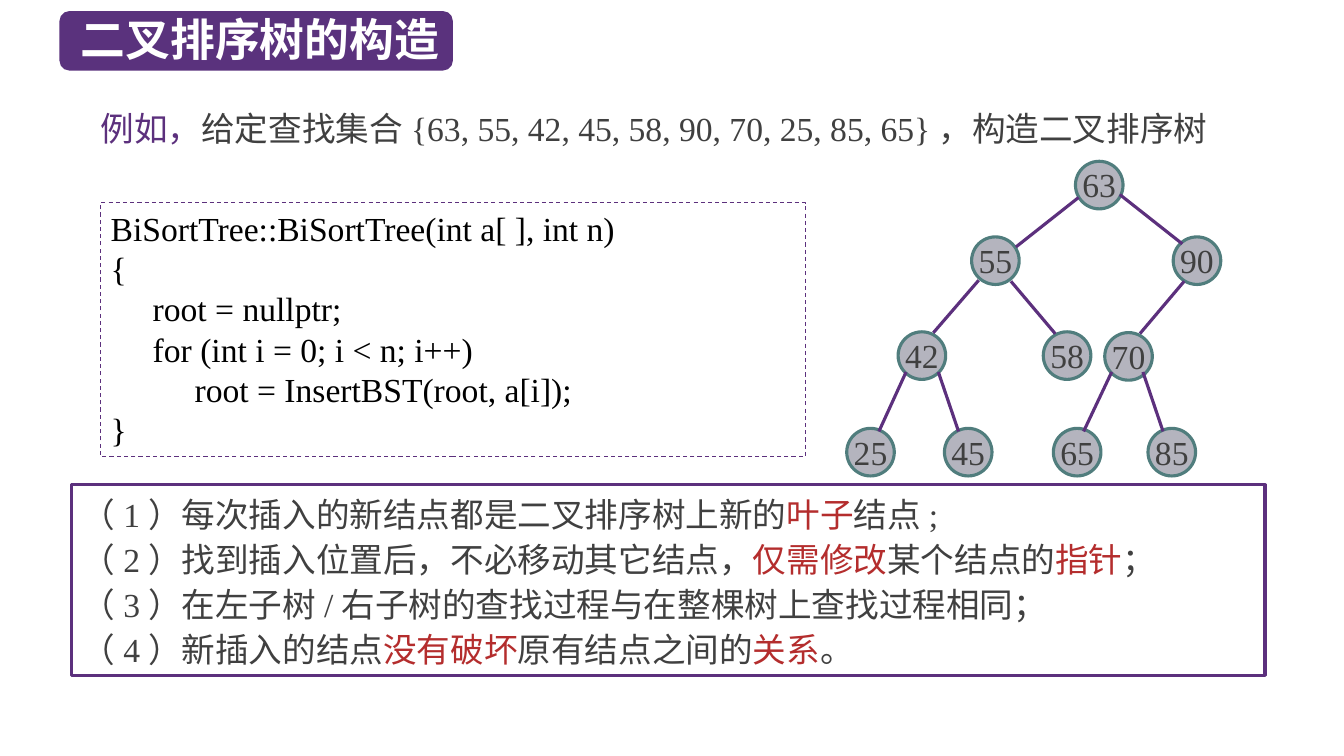
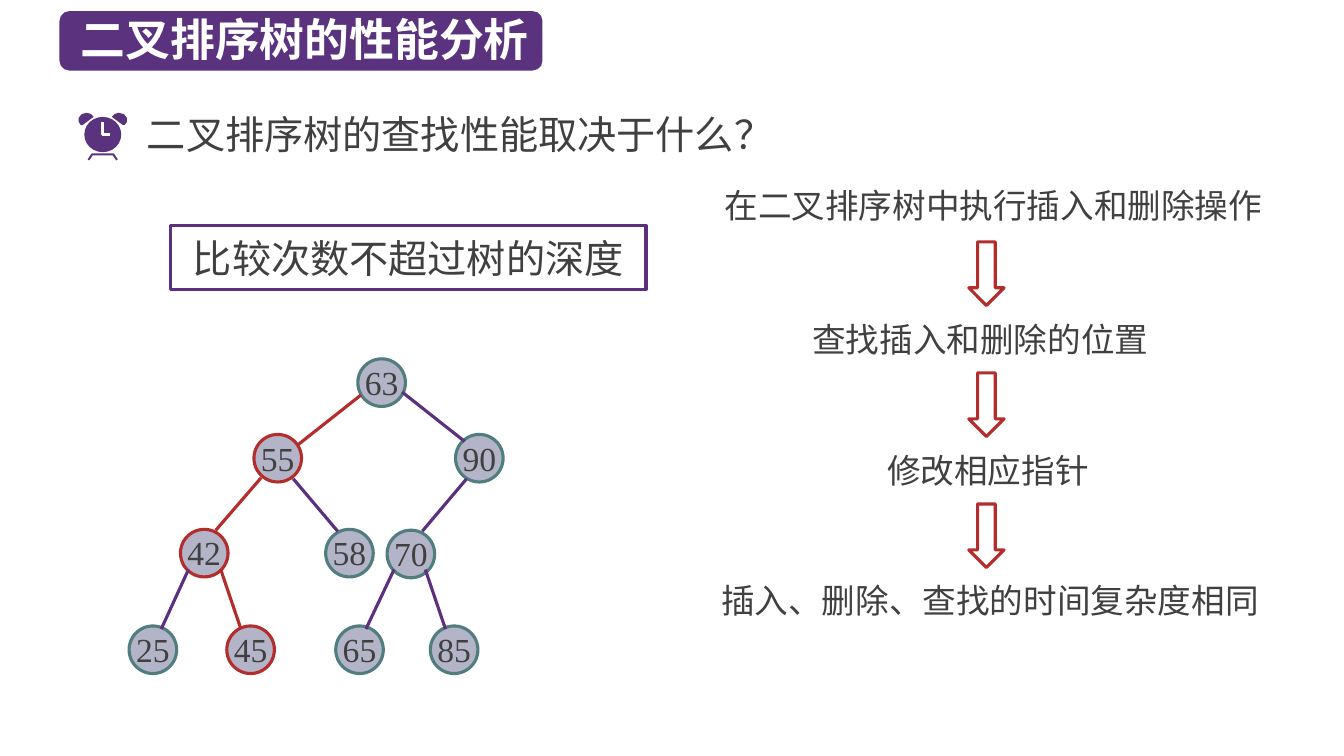
from dataclasses import dataclass, field
from typing import Any, NamedTuple

from lxml import etree
from pptx import Presentation
from pptx import util as u
from pptx.dml.color import RGBColor
from pptx.enum import dml, shapes, text as txt
from pptx.oxml import ns

Pt = u.Pt
SHAPE = shapes.MSO_SHAPE
ALIGN = txt.PP_ALIGN
ANCHOR = txt.MSO_ANCHOR


@dataclass(frozen=True)
class Theme:
    band: str = "5A327D"
    purple: str = "5C307D"
    red: str = "B42D2D"
    teal: str = "507D7D"
    ink: str = "404040"
    black: str = "000000"
    white: str = "FFFFFF"
    title_size: float = 32
    question_size: float = 28
    body_size: float = 24
    thin: float = 0.75
    stroke: float = 2.25
    latin: str = "Times New Roman"
    chinese: str = "Noto Sans CJK SC"


THEME = Theme()


class Box(NamedTuple):
    left: float
    top: float
    width: float
    height: float


class Span(NamedTuple):
    words: str
    color: str = THEME.ink


@dataclass(frozen=True)
class Style:
    size: float = THEME.body_size
    font: str = THEME.latin
    bold: bool = False
    paragraph: dict[str, Any] = field(default_factory=dict)
    frame: dict[str, Any] = field(default_factory=dict)


class TreeNode(NamedTuple):
    key: int
    x: float
    y: float
    parent: int = 0
    leave: tuple[float, float] = (0, 0)
    arrive: tuple[float, float] = (0, 0)


class Step(NamedTuple):
    words: str
    box: Box
    align: ALIGN = ALIGN.LEFT


DIAMETER = 34
TREE = (
    TreeNode(63, 0, 0),
    TreeNode(55, -74.2, 54, 63, (2.2, 25.9), (31.7, 7.2)),
    TreeNode(90, 69.8, 54, 63, (31.7, 23.8), (6.5, 5)),
    TreeNode(42, -126.7, 121.8, 55, (5.1, 31), (25.2, 0.7)),
    TreeNode(58, -23, 121.8, 55, (28.1, 31.7), (8.6, 1.4)),
    TreeNode(70, 20.9, 122.4, 90, (7.9, 31.7), (25.2, 0.7)),
    TreeNode(25, -163.4, 190.8, 42, (5.7, 28.8), (23, 2.2)),
    TreeNode(45, -93.6, 190.8, 42, (28.8, 28.8), (10.1, 2.2)),
    TreeNode(65, -15.8, 190.8, 70, (5, 28.1), (21.6, 2.2)),
    TreeNode(85, 51.8, 190.8, 70, (27.3, 28.1), (10.8, 2.2)),
)

CODE = (
    "BiSortTree::BiSortTree(int a[ ], int n)",
    "{",
    "     root = nullptr;",
    "     for (int i = 0; i < n; i++)",
    "          root = InsertBST(root, a[i]);",
    "}",
)

EXAMPLE = [
    Span("例如，", THEME.purple),
    Span("给定查找集合{63, 55, 42, 45, 58, 90, 70, 25, 85, 65}，构造二叉排序树"),
]

REMARKS = [
    [Span("（1）每次插入的新结点都是二叉排序树上新的"), Span("叶子", THEME.red), Span("结点;")],
    [Span("（2）找到插入位置后，不必移动其它结点，"), Span("仅需修改", THEME.red),
     Span("某个结点的"), Span("指针", THEME.red), Span("；")],
    [Span("（3）在左子树/右子树的查找过程与在整棵树上查找过程相同；")],
    [Span("（4）新插入的结点"), Span("没有破坏", THEME.red),
     Span("原有结点之间的"), Span("关系", THEME.red), Span("。")],
]

STEPS = (
    Step("在二叉排序树中执行插入和删除操作", Box(510.5, 128.2, 413.3, 36)),
    Step("查找插入和删除的位置", Box(573.1, 223.9, 265, 36)),
    Step("修改相应指针", Box(573.1, 317.5, 265, 36), ALIGN.CENTER),
    Step("插入、删除、查找的时间复杂度相同", Box(499.7, 410.4, 414.7, 36), ALIGN.CENTER),
)


def rgb(color: str) -> RGBColor:
    return RGBColor.from_string(color)


def apply(target: Any, formats: dict[str, Any]) -> None:
    for name, value in formats.items():
        setattr(target, name, value)


def points(*lengths: float) -> list[int]:
    return [Pt(length) for length in lengths]


def place(shape: Any, box: Box) -> None:
    apply(shape, dict(zip(Box._fields, points(*box))))


def write(shape: Any, paragraphs: list[list[Span]], style: Style = Style(),
          bulleted: bool = False) -> None:
    frame = shape.text_frame
    apply(frame, {"word_wrap": True, "auto_size": txt.MSO_AUTO_SIZE.NONE,
                  "vertical_anchor": ANCHOR.TOP} | style.frame)
    for index, spans in enumerate(paragraphs):
        paragraph = frame.add_paragraph() if index else frame.paragraphs[0]
        if bulleted:
            properties = paragraph._p.get_or_add_pPr()
            properties.set("marL", "0")
            properties.set("indent", "0")
            etree.SubElement(properties, ns.qn("a:buNone"))
        apply(paragraph, {"alignment": ALIGN.LEFT, "space_before": Pt(0)} | style.paragraph)
        for span in spans:
            run = paragraph.add_run()
            run.text = span.words
            apply(run.font, {"size": Pt(style.size), "name": style.font, "bold": style.bold})
            run.font.color.rgb = rgb(span.color)
            east_asian = etree.SubElement(run.font._element, ns.qn("a:ea"))
            east_asian.set("typeface", THEME.chinese)


def paint(shape: Any, fill: str = "", line: str = "", width: float = THEME.stroke) -> None:
    if fill:
        shape.fill.solid()
        shape.fill.fore_color.rgb = rgb(fill)
    else:
        shape.fill.background()
    if line:
        shape.line.color.rgb = rgb(line)
        shape.line.width = Pt(width)
    else:
        shape.line.fill.background()


def add_figure(slide: Any, kind: SHAPE, box: Box, fill: str = "", line: str = "",
               width: float = THEME.stroke) -> Any:
    figure = slide.shapes.add_shape(kind, *points(*box))
    figure.shadow.inherit = False
    paint(figure, fill, line, width)
    return figure


def add_label(slide: Any, box: Box, spans: list[Span], style: Style = Style()) -> None:
    write(slide.shapes.add_textbox(*points(*box)), [spans], style)


def add_outline(slide: Any, corners: list[tuple[float, float]], fill: str = "",
                line: str = "", width: float = THEME.stroke) -> None:
    start, *rest = [tuple(points(*corner)) for corner in corners]
    builder = slide.shapes.build_freeform(*start)
    builder.add_line_segments(rest, close=bool(fill))
    outline = builder.convert_to_shape()
    outline.shadow.inherit = False
    paint(outline, fill, line, width)


def add_title(slide: Any, words: str) -> None:
    title = slide.shapes.title
    text_width = THEME.title_size * len(words)
    place(title, Box(50.4, 5, text_width + 20, 46))
    write(title, [[Span(words, THEME.white)]],
          Style(THEME.title_size, THEME.chinese, bold=True))
    band = add_figure(slide, SHAPE.ROUNDED_RECTANGLE,
                      Box(42.5, 7.9, text_width + 25, 42.5), THEME.band)
    title.element.addprevious(band.element)


def add_edge(slide: Any, parent: TreeNode, child: TreeNode, left: float, top: float,
             color: str) -> None:
    edge = slide.shapes.add_connector(
        shapes.MSO_CONNECTOR.STRAIGHT,
        *points(left + parent.x + child.leave[0], top + parent.y + child.leave[1],
                left + child.x + child.arrive[0], top + child.y + child.arrive[1]))
    edge.line.color.rgb = rgb(color)
    edge.line.width = Pt(THEME.stroke)
    etree.SubElement(edge.element.spPr, ns.qn("a:effectLst"))


def add_tree(slide: Any, left: float, top: float, fill: str,
             visited: frozenset[int] = frozenset()) -> None:
    by_key = {node.key: node for node in TREE}
    margins = dict.fromkeys(("margin_left", "margin_top", "margin_right", "margin_bottom"), 0)
    style = Style(paragraph={"alignment": ALIGN.CENTER, "line_spacing": Pt(26)},
                  frame=margins | {"word_wrap": False})
    for node in TREE:
        on_path = node.key in visited
        circle = add_figure(slide, SHAPE.OVAL,
                            Box(left + node.x, top + node.y, DIAMETER, DIAMETER),
                            fill, THEME.red if on_path else THEME.teal)
        write(circle, [[Span(str(node.key))]], style)
        if node.parent:
            add_edge(slide, by_key[node.parent], node, left, top,
                     THEME.red if on_path else THEME.purple)


def add_clock(slide: Any) -> None:
    center = 73.4
    bell = [(15.8, 89.3), (17.2, 87.1), (17.2, 84.2), (15.1, 81.6), (11.5, 80.6),
            (8.6, 81.4), (6.5, 83.5), (14.6, 89.5)]
    for side in (-1, 1):
        add_outline(slide, [(center + side * x, y) for x, y in bell], THEME.band)
    add_figure(slide, SHAPE.OVAL, Box(center - 13.2, 83.5, 26.4, 25.2), THEME.band)
    add_outline(slide, [(center, 87.3), (center, 96.1), (center + 5.2, 96.1)],
                line=THEME.white, width=2.2)
    legs = [(-10.2, 114.2), (-7.5, 110.2), (7.5, 110.2), (10.2, 114.2)]
    add_outline(slide, [(center + x, y) for x, y in legs], line=THEME.band, width=1.4)


def build_construction(deck: Any) -> None:
    slide = deck.slides.add_slide(deck.slide_layouts[1])
    add_title(slide, "二叉排序树的构造")
    code = add_figure(slide, SHAPE.RECTANGLE, Box(72, 144.7, 503.3, 181.4),
                      line=THEME.purple, width=THEME.thin)
    code.line.dash_style = dml.MSO_LINE.DASH
    write(code, [[Span(line, THEME.black)] for line in CODE])
    add_tree(slide, 768.2, 115.2, "B4B4BE")
    add_label(slide, Box(64.8, 73.4, 825.1, 36), EXAMPLE)
    remarks = slide.placeholders[1]
    place(remarks, Box(51.1, 346.3, 852.5, 136.1))
    paint(remarks, line=THEME.purple)
    write(remarks, REMARKS, Style(paragraph={"line_spacing": Pt(32)}), bulleted=True)


def build_performance(deck: Any) -> None:
    slide = deck.slides.add_slide(deck.slide_layouts[5])
    add_title(slide, "二叉排序树的性能分析")
    for step in STEPS:
        add_label(slide, step.box, [Span(step.words)], Style(paragraph={"alignment": step.align}))
    for index in range(len(STEPS) - 1):
        add_figure(slide, SHAPE.DOWN_ARROW, Box(692, 172.8 + 93.6 * index, 25.2, 45.4),
                   line=THEME.red)
    add_clock(slide)
    add_label(slide, Box(97.9, 75.6, 480.2, 41), [Span("二叉排序树的查找性能取决于什么？")],
              Style(THEME.question_size))
    add_tree(slide, 255.6, 256.3, "B4B4C8", frozenset({55, 42, 45}))
    answer = add_figure(slide, SHAPE.RECTANGLE, Box(121.7, 161.3, 339.8, 45.4),
                        line=THEME.purple)
    write(answer, [[Span("比较次数不超过树的深度")]],
          Style(THEME.question_size, paragraph={"alignment": ALIGN.CENTER},
                frame={"vertical_anchor": ANCHOR.MIDDLE}))


def main() -> None:
    deck = Presentation()
    apply(deck, {"slide_width": Pt(960), "slide_height": Pt(540)})
    build_construction(deck)
    build_performance(deck)
    deck.save("out.pptx")


if __name__ == "__main__":
    main()
